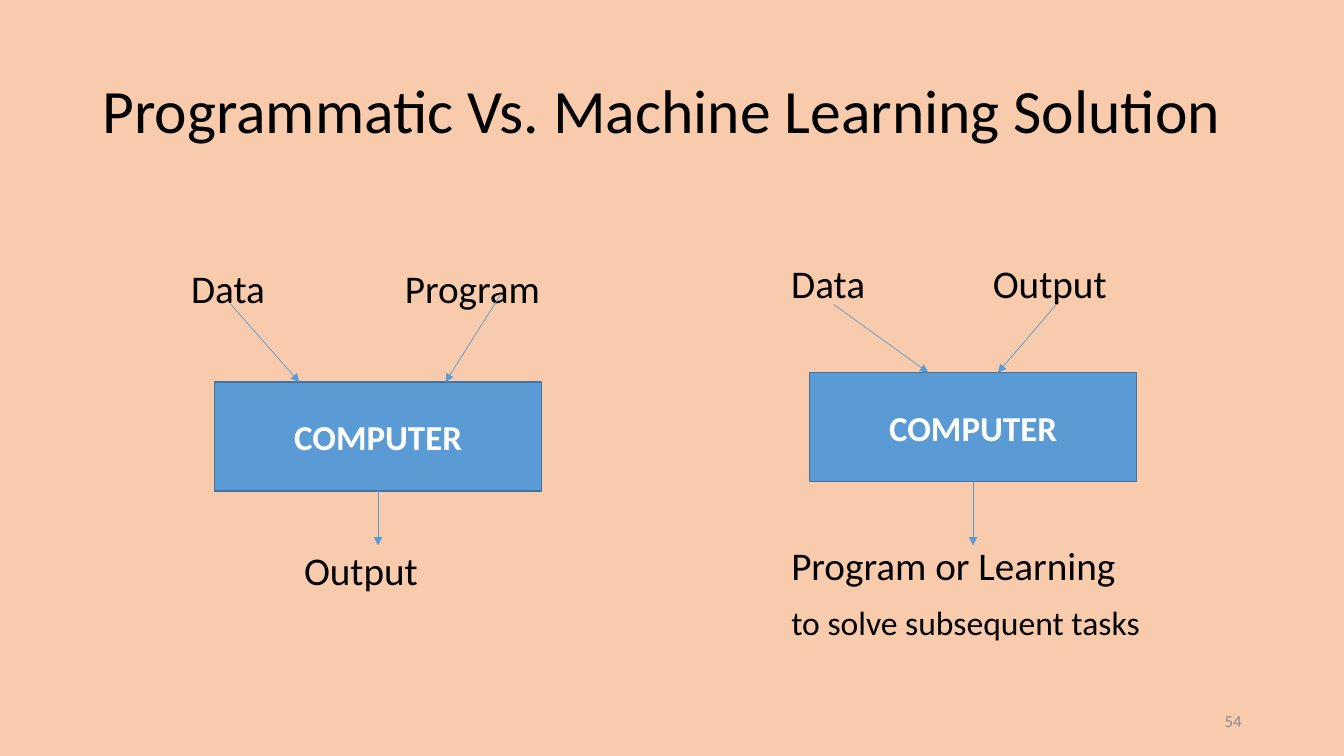
from dataclasses import dataclass

import pptx
import pptx.dml.color
import pptx.enum.shapes
import pptx.enum.text
import pptx.oxml.ns
import pptx.util
from lxml import etree
from pptx.util import Pt

COLORS = {"back": "F8CBAD", "text": "000000", "number": "8C8C8C",
          "box": "5B9BD5", "edge": "43739E", "white": "FFFFFF"}
FONT = "Calibri"
BOX_W, BOX_H = 233.3, 77.8
ARROW_END = 389.7
Align = pptx.enum.text.PP_ALIGN
Anchor = pptx.enum.text.MSO_ANCHOR
Point = tuple[float, float]


@dataclass
class Label:
    text: str
    left: float
    top: float
    width: float = 130
    height: float = 34.2
    size: float = 28
    color: str = "text"
    align: Align = Align.LEFT
    spacing: float = 1
    note: str = ""


@dataclass
class Panel:
    left: float
    top: float
    inputs: list[tuple[Point, float]]  # arrow start, x where it meets the box


LABELS = [
    Label("Programmatic Vs. Machine Learning Solution", 73.2, 28.8, 813.6, 104.4,
          44, spacing=0.9),
    Label("Data", 136.5, 188.4),
    Label("Program", 289.2, 188.4),
    Label("Output", 217.2, 389.7),
    Label("Data", 565.2, 184.8),
    Label("Output", 709.2, 184.8),
    Label("Program or Learning", 565.2, 386.1, 300, 73.5,
          note="to solve subsequent tasks"),
    Label("54", 685.4, 500.4, 201.6, 28.8, 12, "number", Align.RIGHT),
]
PANELS = [
    Panel(153.4, 272.9, [((164.9, 217.4), 213.8), ((357.8, 210.2), 318.2)]),
    Panel(578.4, 266.2, [((595.4, 217.4), 663.1), ((754.6, 217.4), 712.8)]),
]


def paint(name: str) -> pptx.dml.color.RGBColor:
    return pptx.dml.color.RGBColor.from_string(COLORS[name])


def style(para, size: float, color: str, align: Align, bold: bool = False) -> None:
    para.alignment = align
    font = para.font
    font.name, font.size, font.bold = FONT, Pt(size), bold
    font.color.rgb = paint(color)


def write(slide, label: Label) -> None:
    area = slide.shapes.add_textbox(Pt(label.left), Pt(label.top),
                                    Pt(label.width), Pt(label.height))
    frame = area.text_frame
    frame.word_wrap = True
    frame.vertical_anchor = Anchor.MIDDLE
    frame.margin_left = frame.margin_right = 0
    frame.margin_top = frame.margin_bottom = 0
    para = frame.paragraphs[0]
    para.text = label.text
    para.line_spacing = label.spacing
    style(para, label.size, label.color, label.align)
    if label.note:
        extra = frame.add_paragraph()
        extra.text = label.note
        extra.space_before = Pt(10)
        style(extra, 24, label.color, label.align)


def arrow(slide, start: Point, end: Point):
    link = slide.shapes.add_connector(
        pptx.enum.shapes.MSO_CONNECTOR.STRAIGHT, *map(Pt, start + end))
    link.line.color.rgb = paint("box")
    link.line.width = Pt(0.5)
    qn = pptx.oxml.ns.qn
    etree.SubElement(link.line._get_or_add_ln(), qn("a:tailEnd"), type="triangle")
    etree.SubElement(link._element.spPr, qn("a:effectLst"))
    return link


def draw(slide, panel: Panel) -> None:
    """Draw a computer box with its input and output arrows."""
    box = slide.shapes.add_shape(
        pptx.enum.shapes.MSO_SHAPE.RECTANGLE,
        Pt(panel.left), Pt(panel.top), Pt(BOX_W), Pt(BOX_H))
    box.shadow.inherit = False
    box.fill.solid()
    box.fill.fore_color.rgb = paint("box")
    box.line.color.rgb = paint("edge")
    box.line.width = Pt(1)
    box.text_frame.vertical_anchor = Anchor.MIDDLE
    para = box.text_frame.paragraphs[0]
    para.text = "COMPUTER"
    style(para, 25, "white", Align.CENTER, True)
    for start, x in panel.inputs:
        arrow(slide, start, (x, panel.top))
    mid = panel.left + BOX_W / 2
    link = arrow(slide, (mid, panel.top + BOX_H), (mid, ARROW_END))
    link.begin_connect(box, 2)


def main() -> None:
    deck = pptx.Presentation()
    deck.slide_width, deck.slide_height = Pt(960), Pt(540)
    slide = deck.slides.add_slide(deck.slide_layouts[6])
    slide.background.fill.solid()
    slide.background.fill.fore_color.rgb = paint("back")
    for label in LABELS:
        write(slide, label)
    for panel in PANELS:
        draw(slide, panel)
    deck.save("out.pptx")


if __name__ == "__main__":
    main()
